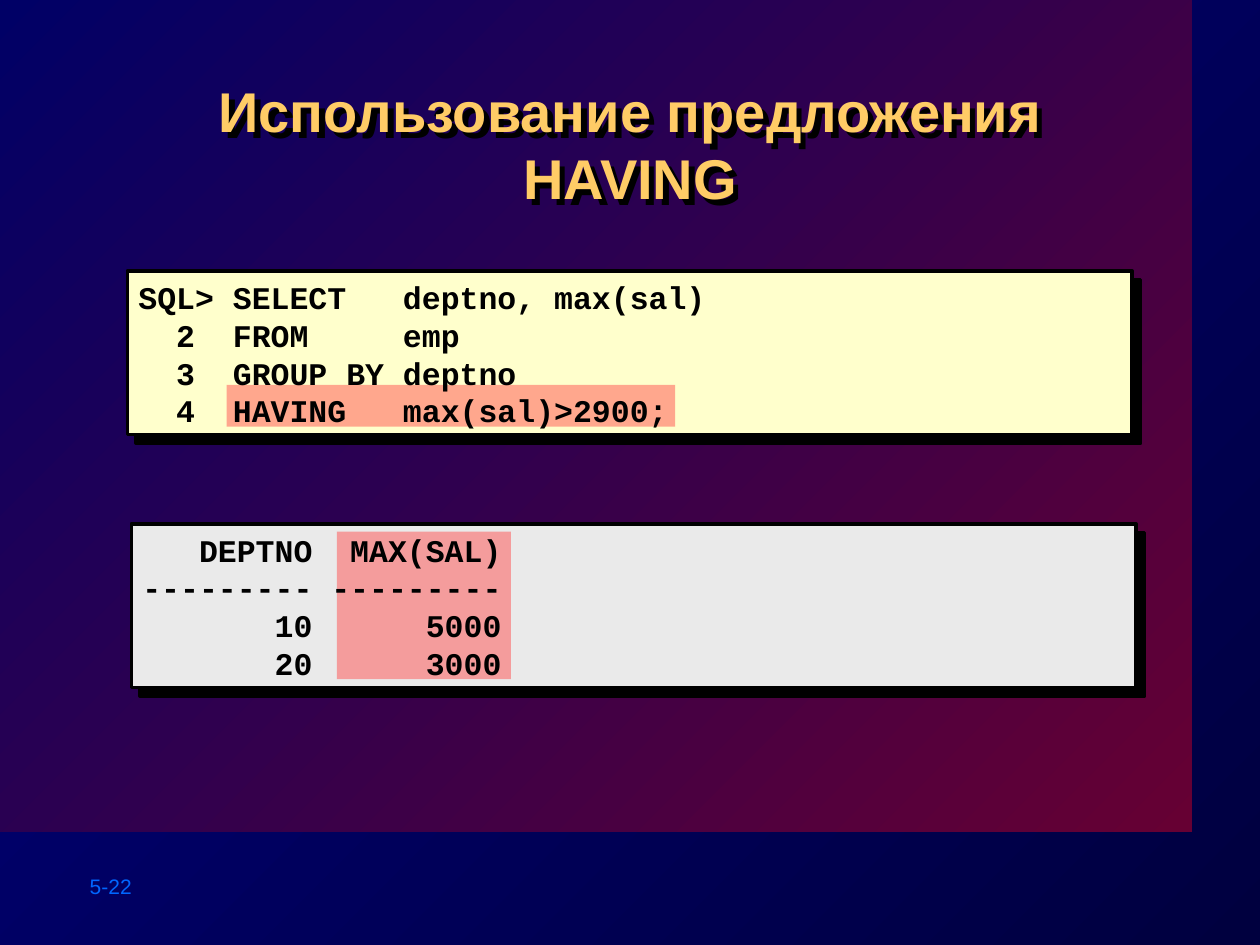
from dataclasses import dataclass

from lxml import etree
from pptx import Presentation
from pptx.dml.color import RGBColor
from pptx.enum.shapes import MSO_SHAPE
from pptx.enum.text import MSO_ANCHOR, MSO_AUTO_SIZE, PP_ALIGN
from pptx.oxml.ns import qn
from pptx.util import Cm, Pt

RECTANGLE = MSO_SHAPE.RECTANGLE
TOP, MIDDLE = MSO_ANCHOR.TOP, MSO_ANCHOR.MIDDLE
LEFT, CENTER = PP_ALIGN.LEFT, PP_ALIGN.CENTER
NO_AUTOFIT = MSO_AUTO_SIZE.NONE

BLACK = RGBColor(0x00, 0x00, 0x00)
NIGHT = RGBColor(0x00, 0x00, 0x3F)
NAVY = RGBColor(0x00, 0x00, 0x80)
WINE = RGBColor(0x66, 0x00, 0x33)
INDIGO = RGBColor(0x00, 0x00, 0x66)
CREAM = RGBColor(0xFF, 0xFF, 0xCC)
GRAY = RGBColor(0xEA, 0xEA, 0xEA)
GOLD = RGBColor(0xFF, 0xCC, 0x66)
BLUE = RGBColor(0x00, 0x66, 0xFF)
CORAL = RGBColor(0xFF, 0x50, 0x50)


@dataclass(frozen=True)
class Box:
    """A rectangle in centimetres."""
    left: float
    top: float
    width: float
    height: float

    def lengths(self):
        return Cm(self.left), Cm(self.top), Cm(self.width), Cm(self.height)


@dataclass(frozen=True)
class Listing:
    """A framed block of monospaced lines with one highlighted area."""
    frame: Box
    color: RGBColor
    highlight: Box
    text_box: Box
    lines: tuple[str, ...]


LISTINGS = (
    Listing(Box(2.57, 5.46, 20.25, 3.3), CREAM,
            Box(4.57, 7.76, 9.04, 0.84), Box(2.54, 5.44, 20.32, 3.38),
            ("SQL> SELECT   deptno, max(sal)",
             "  2  FROM     emp",
             "  3  GROUP BY deptno",
             "  4  HAVING   max(sal)>2900;")),
    Listing(Box(2.65, 10.56, 20.25, 3.3), GRAY,
            Box(6.79, 10.72, 3.51, 2.97), Box(2.62, 10.53, 20.32, 3.38),
            ("   DEPTNO  MAX(SAL)",
             "--------- ---------",
             "       10      5000",
             "       20      3000")),
)


def fill_gradient(fill, start: RGBColor, end: RGBColor) -> None:
    """Run a gradient from the lower right to the upper left."""
    fill.gradient()
    fill.gradient_angle = 135
    for stop, color in zip(fill.gradient_stops, (start, end)):
        stop.color.rgb = color


def add_shadow(shape, distance: float) -> None:
    """Give a shape a hard black shadow to the lower right."""
    shape.shadow.inherit = False
    effects = shape._element.spPr.find(qn("a:effectLst"))
    shadow = etree.SubElement(effects, qn("a:outerShdw"), blurRad="0",
                              dist=str(Pt(distance)), dir="2700000",
                              algn="ctr", rotWithShape="0")
    etree.SubElement(shadow, qn("a:srgbClr"), val=str(BLACK))


def add_rectangle(slide, box: Box):
    shape = slide.shapes.add_shape(RECTANGLE, *box.lengths())
    shape.shadow.inherit = False
    shape.line.fill.background()
    return shape


def add_frame(slide, listing: Listing) -> None:
    frame = add_rectangle(slide, listing.frame)
    frame.fill.solid()
    frame.fill.fore_color.rgb = listing.color
    frame.line.color.rgb = BLACK
    frame.line.width = Pt(2)
    add_shadow(frame, 7.1)


def add_highlight(slide, box: Box) -> None:
    """Draw a half-transparent marker."""
    marker = add_rectangle(slide, box)
    marker.fill.solid()
    marker.fill.fore_color.rgb = CORAL
    color = marker._element.spPr.find(qn("a:solidFill"))[0]
    etree.SubElement(color, qn("a:alpha"), val="50000")


def write_text(shape, *lines: str, size: float, color: RGBColor,
               font: str = "Arial", bold: bool = False, align=LEFT,
               anchor=TOP) -> None:
    frame = shape.text_frame
    frame.word_wrap = True
    frame.auto_size = NO_AUTOFIT
    frame.vertical_anchor = anchor
    for index, line in enumerate(lines):
        paragraph = frame.add_paragraph() if index else frame.paragraphs[0]
        paragraph.alignment = align
        run = paragraph.add_run()
        run.text = line
        run.font.name = font
        run.font.size = Pt(size)
        run.font.bold = bold
        run.font.color.rgb = color


def main() -> None:
    presentation = Presentation()
    presentation.slide_width, presentation.slide_height = Cm(25.4), Cm(19.05)
    slide = presentation.slides.add_slide(presentation.slide_layouts[5])

    # Background and main panel
    fill_gradient(slide.background.fill, NIGHT, NAVY)
    panel = add_rectangle(slide, Box(0, 0, 24.03, 16.77))
    fill_gradient(panel.fill, WINE, INDIGO)

    # Page number
    page_number = slide.shapes.add_textbox(*Box(1.56, 17.48, 2.82, 0.76).lengths())
    write_text(page_number, "5-22", size=12, color=BLUE)

    # Title, raised above the panel
    title = slide.shapes.title
    title.left, title.top, title.width, title.height = Box(
        2.57, 1.42, 20.27, 2.44).lengths()
    write_text(title, "Использование предложения HAVING", size=32,
               color=GOLD, bold=True, align=CENTER)
    add_shadow(title, 4.5)
    slide.shapes._spTree.append(title._element)

    # Query and its result
    for listing in LISTINGS:
        add_frame(slide, listing)
        add_highlight(slide, listing.highlight)
        text_box = slide.shapes.add_textbox(*listing.text_box.lengths())
        write_text(text_box, *listing.lines, size=18, color=BLACK,
                   font="Courier New", bold=True, anchor=MIDDLE)

    presentation.save("out.pptx")


if __name__ == "__main__":
    main()
